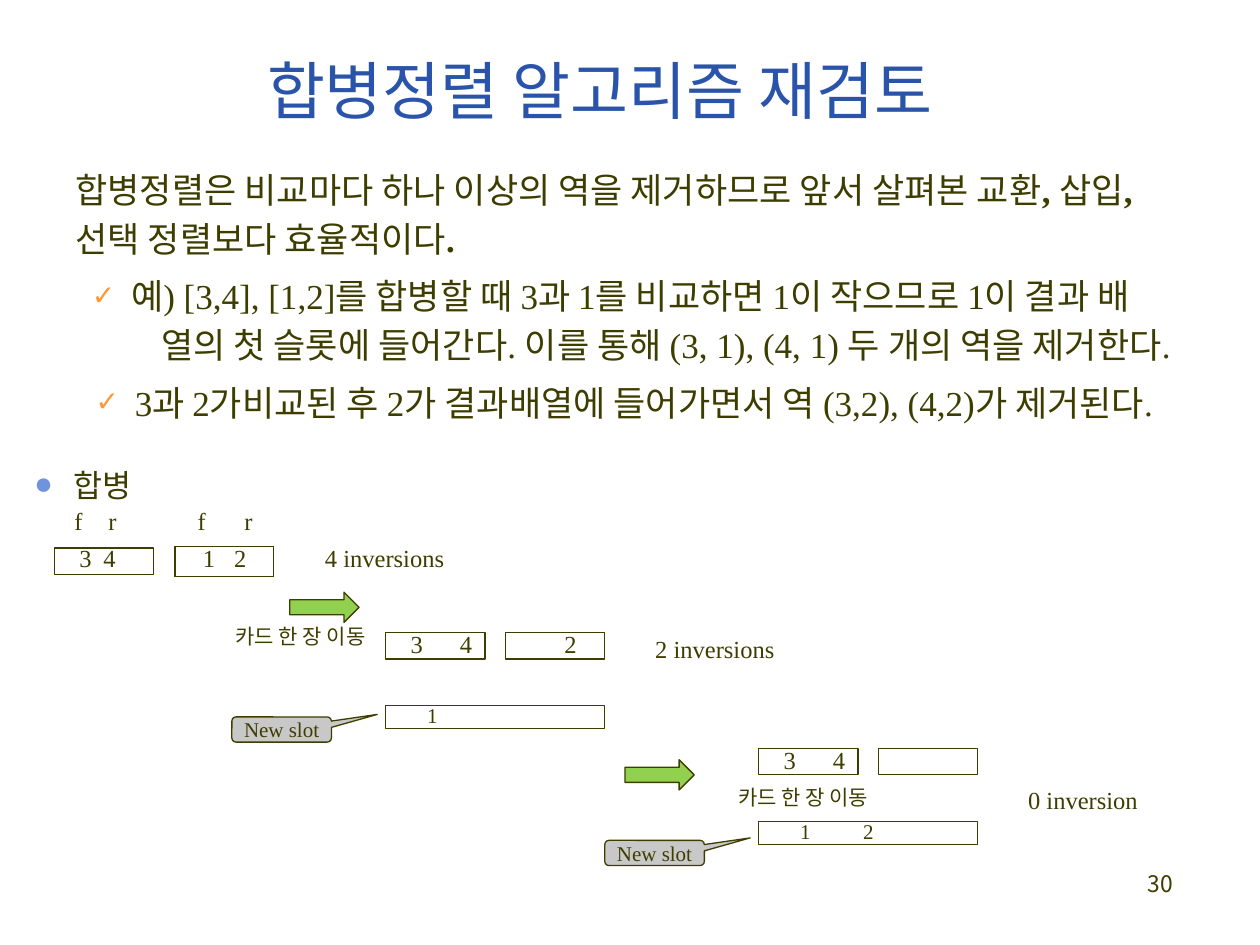
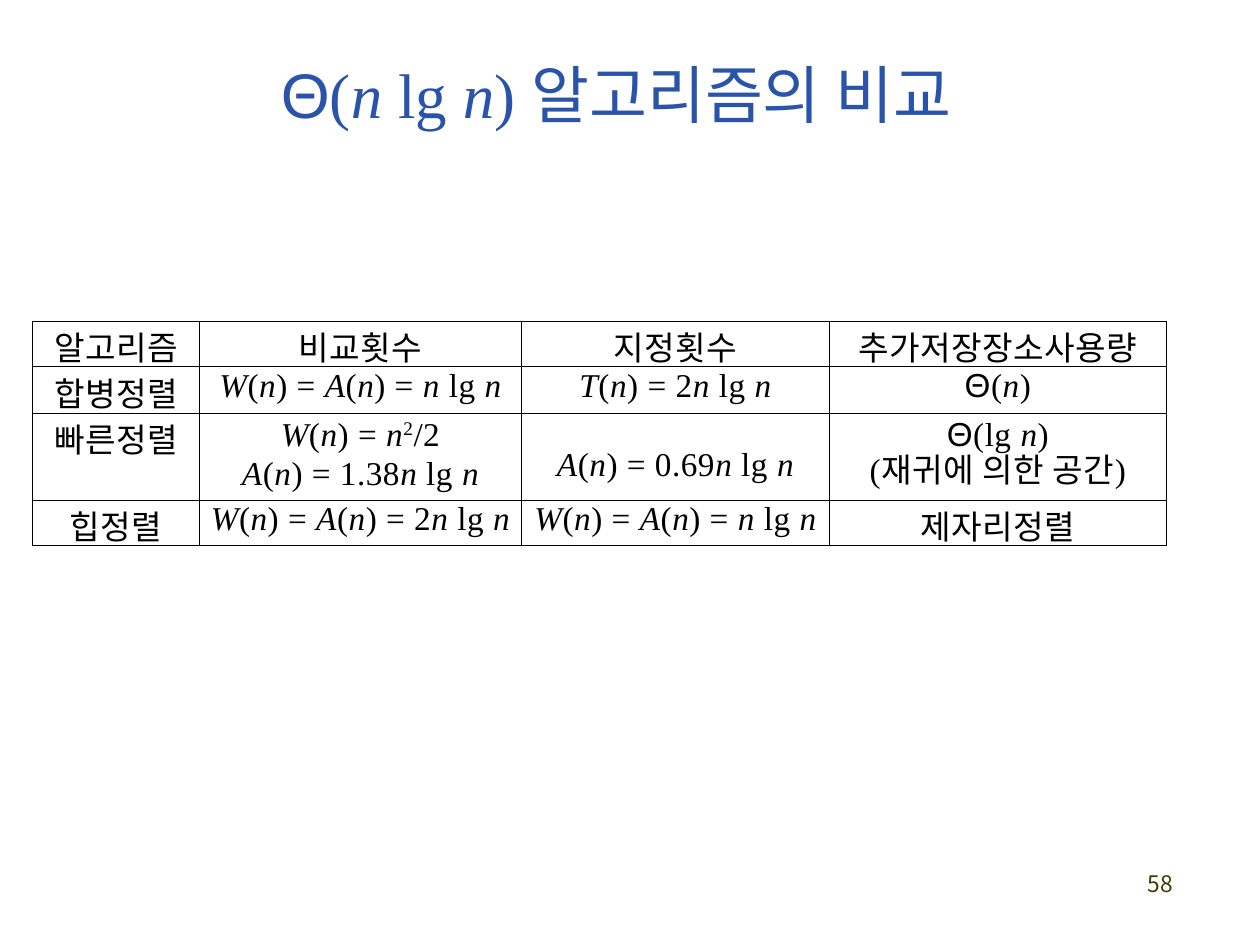
"""Two slides on merge sort: inversions removed per comparison, and a table of n lg n algorithms."""
from itertools import groupby

from lxml import etree
from pptx import Presentation
from pptx import util as u
from pptx.dml.color import RGBColor
from pptx.enum import shapes, text
from pptx.oxml.ns import qn

INK, TITLE, BLACK = "3E3D00", "2A54AA", "000000"
CHECK, DOT, GREEN, GREY = "FF9933", "6F93DC", "92D050", "C8C8C8"
LATIN, HANGUL, SYMBOL = "Times New Roman", "Noto Sans CJK KR", "Arial"

MATH = {**dict.fromkeys("nWAT", "italic"), "Θ": "symbol", "²": "power"}
STRONG = {**dict.fromkeys(",.", "bold"), "\n": "break"}

TITLES = [("합병정렬 알고리즘 재검토", 2.11, 0.39, "30"),
          ("Θ(n lg n) 알고리즘의 비교", 2.22, 0.42, "58")]

BODY = [
    ("합병정렬은 비교마다 하나 이상의 역을 제거하므로 앞서 살펴본 교환, 삽입,\n선택 정렬보다 효율적이다.",
     dict(marks=STRONG, spacing=1.17, indent=(0.01, 0))),
    ("예) [3,4], [1,2]를 합병할 때 3과 1를 비교하면 1이 작으므로 1이 결과 배",
     dict(before=8.8, indent=(0.45, -0.31), bullet=("✓", CHECK, 80))),
    ("열의 첫 슬롯에 들어간다. 이를 통해 (3, 1), (4, 1) 두 개의 역을 제거한다.",
     dict(before=4, indent=(0.69, 0))),
    ("3과 2가비교된 후 2가 결과배열에 들어가면서 역 (3,2), (4,2)가 제거된다.",
     dict(before=8.8, indent=(0.48, -0.31), bullet=("✓", CHECK, 80))),
]

START_COLUMNS, START_ROWS = [0.99, 0.17, 0.39, 0.39, 1.39], [0.29, 0.29, 0.22]
START = {
    (0, 0): ("합병", dict(size=18, indent=(0.35, -0.31), bullet=("●", DOT, 100))),
    (1, 0): ("f\tr", dict(indent=(0.36, 0), tabs=[0.72])),
    (1, 2): ("f", dict(indent=(0.18, 0))),
    (1, 3): ("r", dict(indent=(0.16, 0))),
    (2, 0): ("3\t4", dict(indent=(0.4, 0), tabs=[0.69])),
    (2, 2): ("1", dict(indent=(0.22, 0))),
    (2, 3): ("2", dict(indent=(0.08, 0))),
    (2, 4): ("4 inversions", dict(indent=(0.41, 0))),
}
START_EDGES = {(2, 2): "LTB", (2, 3): "RTB"}

SLOT_W, SLOT_H, SLOT_STEP, MERGED_DROP = 0.79, 0.21, 0.95, 0.58
PAIR = ("3\t4", 0.2, [0.49])
STEPS = [
    dict(origin=(3.06, 5.02), slots=[PAIR, ("2", 0.47, [])], merged=("1", 0.33, []),
         count=("2 inversions", 2.14, -0.01), arrow=(-0.76, -0.32),
         move=(-1.2, -0.09), callout=(-1.22, 0.67)),
    dict(origin=(6.02, 5.94), slots=[PAIR, ("", 0, [])], merged=("1\t2", 0.33, [0.62]),
         count=("0 inversion", 2.14, 0.27), arrow=(-1.06, 0.09),
         move=(-0.17, 0.27), callout=(-1.22, 0.73)),
]

COLUMNS, ROWS = [1.32, 2.56, 2.44, 2.68], [0.36, 0.37, 0.69, 0.36]
COMPARISON = [
    ["알고리즘", "비교횟수", "지정횟수", "추가저장장소사용량"],
    ["합병정렬", "W(n) = A(n) = n lg n", "T(n) = 2n lg n", "Θ(n)"],
    ["빠른정렬", "W(n) = n²/2\nA(n) = 1.38n lg n", "A(n) = 0.69n lg n", "Θ(lg n)\n(재귀에 의한 공간)"],
    ["힙정렬", "W(n) = A(n) = 2n lg n", "W(n) = A(n) = n lg n", "제자리정렬"],
]
LOWERED = {(2, 2): 0.27}


def rgb(value):
    return RGBColor.from_string(value)


def add(parent, tag, **attributes):
    return etree.SubElement(parent, qn("a:" + tag), attributes)


def write(paragraph, words, size=14, color=INK, marks={}, spacing=None, before=None,
          indent=(0, 0), bullet=None, tabs=(), align=text.PP_ALIGN.LEFT, tracking=0):
    paragraph.alignment = align
    paragraph.line_spacing = spacing
    if before:
        paragraph.space_before = u.Pt(before)
    properties = paragraph._p.get_or_add_pPr()
    properties.set("marL", str(u.Inches(indent[0])))
    properties.set("indent", str(u.Inches(indent[1])))
    if bullet:
        mark, mark_color, share = bullet
        add(add(properties, "buClr"), "srgbClr", val=mark_color)
        add(properties, "buSzPct", val=str(share * 1000))
        add(properties, "buFont", typeface=SYMBOL)
        add(properties, "buChar", char=mark)
    if tabs:
        stops = add(properties, "tabLst")
        for stop in tabs:
            add(stops, "tab", pos=str(u.Inches(stop)), algn="l")
    font = paragraph.font
    font.size, font.name, font.color.rgb = u.Pt(size), LATIN, rgb(color)
    defaults = properties.find(qn("a:defRPr"))
    add(defaults, "ea", typeface=HANGUL)
    if tracking:
        defaults.set("spc", str(tracking))
    for style, letters in groupby(words, lambda letter: marks.get(letter)):
        if style == "break":
            paragraph.add_line_break()
            continue
        run = paragraph.add_run()
        run.text = "".join(letters)
        if style == "italic":
            run.font.italic = True
        elif style == "bold":
            run.font.bold = True
        elif style == "symbol":
            run.font.name = SYMBOL
        elif style == "power":
            run.text = "2"
            run.font._element.set("baseline", "33000")


def clear_margins(holder, top=0):
    holder.margin_left = holder.margin_right = holder.margin_bottom = 0
    holder.margin_top = u.Inches(top)


def label(slide, words, left, top, width, height, **style):
    frame = slide.shapes.add_textbox(*map(u.Inches, (left, top, width, height))).text_frame
    frame.word_wrap = True
    clear_margins(frame, 0.02)
    write(frame.paragraphs[0], words, **style)
    return frame


def block(slide, kind, left, top, width, height, fill=None):
    shape = slide.shapes.add_shape(kind, *map(u.Inches, (left, top, width, height)))
    shape.shadow.inherit = False
    if fill:
        shape.fill.solid()
        shape.fill.fore_color.rgb = rgb(fill)
    else:
        shape.fill.background()
    shape.line.color.rgb, shape.line.width = rgb(INK), u.Pt(0.75)
    clear_margins(shape.text_frame)
    return shape


def slot(slide, left, top, width, height, content=("", 0, []), size=14):
    shape = block(slide, shapes.MSO_SHAPE.RECTANGLE, left, top, width, height)
    words, indent, tabs = content
    if words:
        shape.text_frame.vertical_anchor = text.MSO_ANCHOR.TOP
        write(shape.text_frame.paragraphs[0], words, size, indent=(indent, 0),
              tabs=tabs, spacing=u.Pt(size * 1.05))


def grid(slide, left, top, columns, rows):
    frame = slide.shapes.add_table(len(rows), len(columns), *map(
        u.Inches, (left, top, sum(columns), sum(rows))))
    table = frame.table
    table.first_row = table.horz_banding = False
    for column, width in zip(table.columns, columns):
        column.width = u.Inches(width)
    for row, height in zip(table.rows, rows):
        row.height = u.Inches(height)
    return table


def dress(cell, edges, color, width, top=0):
    clear_margins(cell, top)
    properties = cell._tc.get_or_add_tcPr()
    for side in "LRTB":
        line = add(properties, "ln" + side, w=str(u.Pt(width)))
        if side in edges:
            add(add(line, "solidFill"), "srgbClr", val=color)
        else:
            add(line, "noFill")
    cell.fill.background()


def draw_start(slide):
    slot(slide, 0.43, 4.35, SLOT_W, SLOT_H)
    table = grid(slide, 0.23, 3.76, START_COLUMNS, START_ROWS)
    for row in range(len(START_ROWS)):
        for column in range(len(START_COLUMNS)):
            cell = table.cell(row, column)
            edges = START_EDGES.get((row, column), "")
            if START_EDGES.get((row + 1, column)):
                edges += "B"
            if START_EDGES.get((row, column + 1), "").startswith("L"):
                edges += "R"
            if START_EDGES.get((row, column - 1), "").startswith("R"):
                edges += "L"
            dress(cell, edges, INK, 0.75)
            words, style = START.get((row, column), ("", {}))
            height = style.get("size", 14) * 1.05 if words else 10
            write(cell.text_frame.paragraphs[0], words, spacing=u.Pt(height), **style)
    table.cell(0, 0).merge(table.cell(0, 3))


def draw_step(slide, step):
    left, top = step["origin"]

    def at(offset):
        return left + offset[0], top + offset[1]

    for index, content in enumerate(step["slots"]):
        slot(slide, left + index * SLOT_STEP, top, SLOT_W, SLOT_H, content)
    slot(slide, left, top + MERGED_DROP, SLOT_STEP + SLOT_W, 0.18, step["merged"], 12)
    block(slide, shapes.MSO_SHAPE.RIGHT_ARROW, *at(step["arrow"]), 0.55, 0.24, GREEN)
    words, *offset = step["count"]
    label(slide, words, *at(offset), 1.2, 0.26)
    label(slide, "카드 한 장 이동", *at(step["move"]), 1.3, 0.23, size=12, indent=(0.01, 0))
    callout = block(slide, shapes.MSO_SHAPE.ROUNDED_RECTANGULAR_CALLOUT,
                    *at(step["callout"]), SLOT_W, 0.2, GREY)
    callout.adjustments[0], callout.adjustments[1] = 0.96, -0.6
    callout.text_frame.vertical_anchor = text.MSO_ANCHOR.MIDDLE
    write(callout.text_frame.paragraphs[0], "New slot", 12, align=text.PP_ALIGN.CENTER)


def draw_comparison(slide):
    table = grid(slide, 0.26, 2.55, COLUMNS, ROWS)
    for row, entries in enumerate(COMPARISON):
        for column, entry in enumerate(entries):
            cell = table.cell(row, column)
            dress(cell, "LRTB", BLACK, 0.5, LOWERED.get((row, column), 0.01))
            lines = entry.split("\n")
            for index, words in enumerate(lines):
                frame = cell.text_frame
                paragraph = frame.add_paragraph() if index else frame.paragraphs[0]
                write(paragraph, words, 19, BLACK, MATH, align=text.PP_ALIGN.CENTER, tracking=30,
                      spacing=u.Pt(22.3) if len(lines) > 1 else None)


def main():
    deck = Presentation()
    deck.slide_width, deck.slide_height = u.Inches(10), u.Inches(7.5)
    review, comparison = [deck.slides.add_slide(deck.slide_layouts[6]) for _ in TITLES]
    for slide, (title, left, top, number) in zip((review, comparison), TITLES):
        label(slide, title, left, top, 6, 0.63, size=36, color=TITLE, marks=MATH, indent=(0.01, 0))
        page = label(slide, number, 9.07, 6.88, 0.4, 0.21, size=13, indent=(0.04, 0))
        page.paragraphs[0].font.name = HANGUL

    (words, style), *rest = BODY
    body = label(review, words, 0.59, 1.26, 9.3, 2.1, size=20, **style)
    for words, style in rest:
        write(body.add_paragraph(), words, 20, **style)
    draw_start(review)
    for step in STEPS:
        draw_step(review, step)
    draw_comparison(comparison)
    deck.save("out.pptx")


if __name__ == "__main__":
    main()
